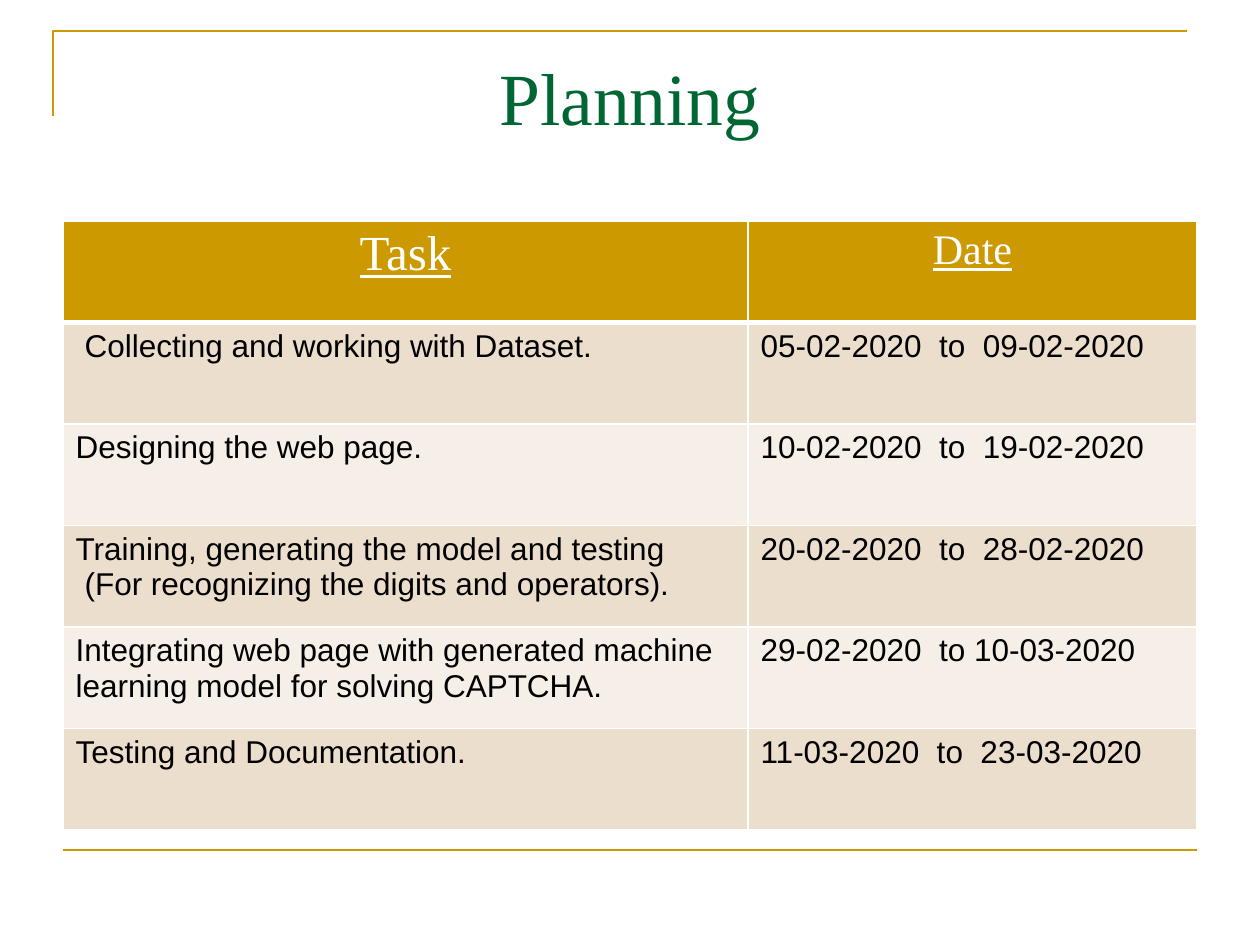
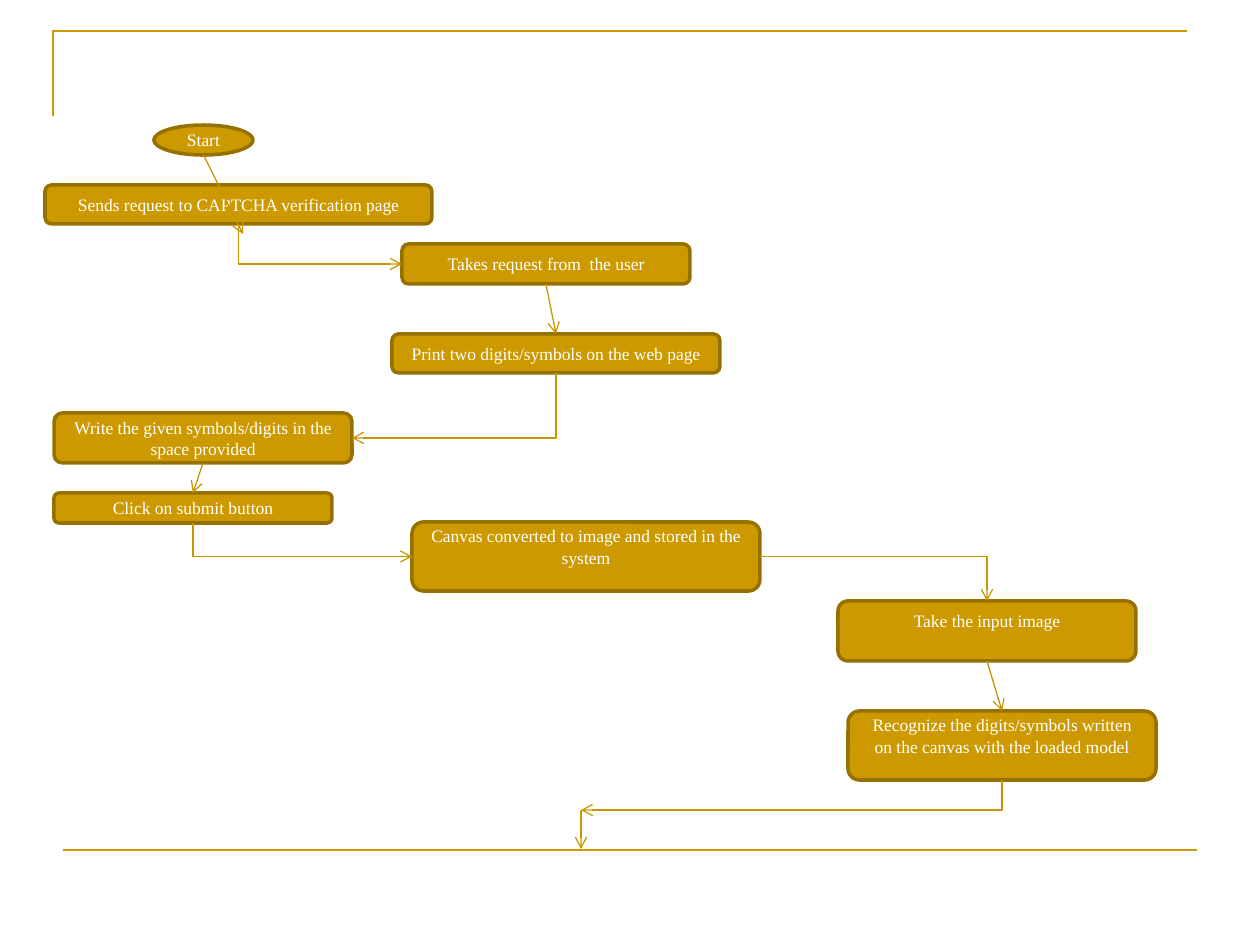
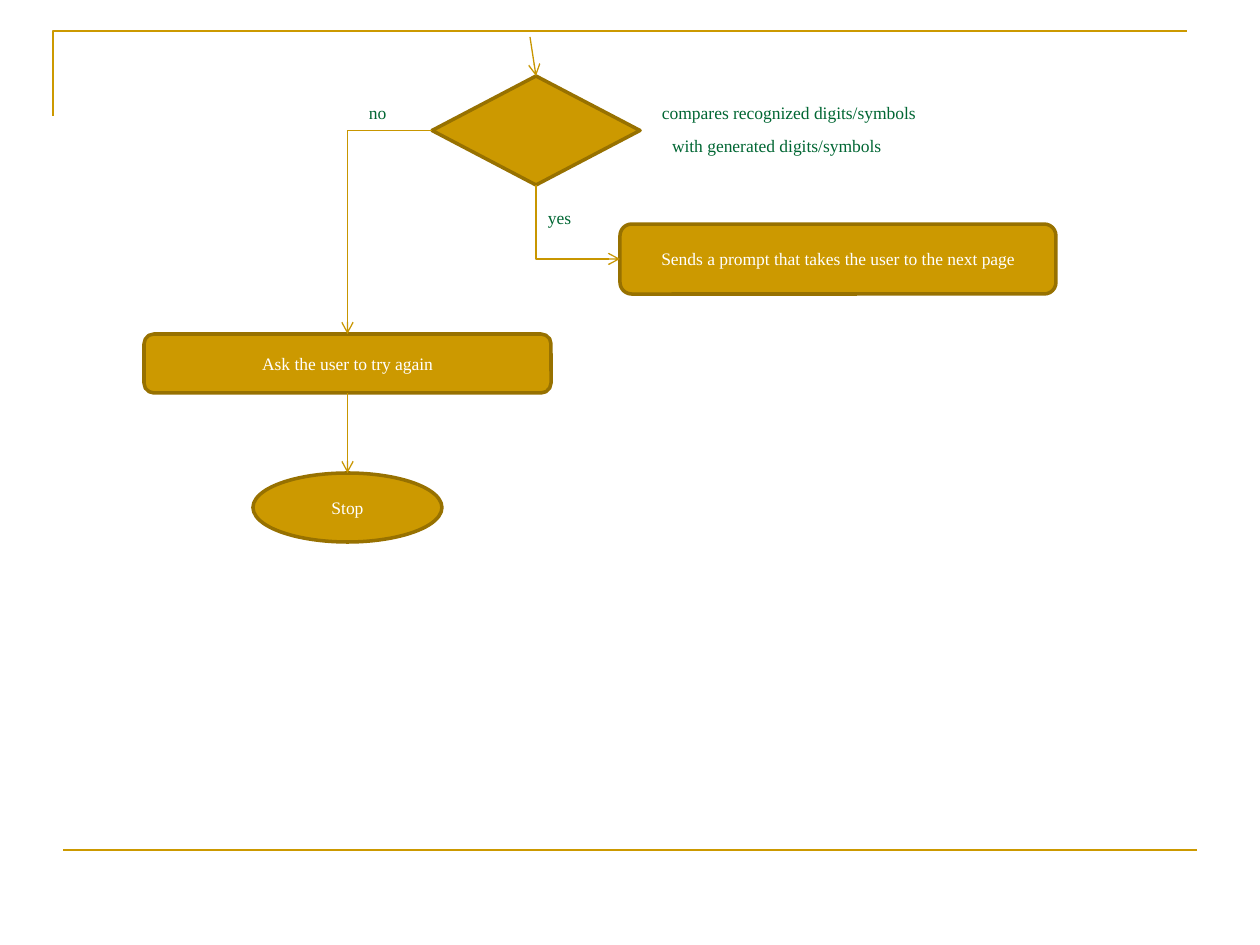
import pptx
import pptx.util
import pptx.dml.color
import pptx.enum.shapes
import pptx.enum.text
import pptx.oxml
import pptx.oxml.ns
import lxml.etree

SHAPE = pptx.enum.shapes.MSO_SHAPE
LINK = pptx.enum.shapes.MSO_CONNECTOR
ALIGN = pptx.enum.text.PP_ALIGN
ANCHOR = pptx.enum.text.MSO_ANCHOR
qn = pptx.oxml.ns.qn

# ---- Content (lengths in pixels, 126 to the inch) ----
SCALE = 914400 / 126
COLORS = {
    "gold": "CC9900", "edge": "977100", "arrow": "C89600", "green": "006633",
    "white": "FFFFFF", "black": "000000", "band_dark": "ECDECC", "band_light": "F6EFE7",
}
SERIF, SANS = "Times New Roman", "Arial"

CORNER = [(53, 116), (53, 31), (1187, 31)]
FOOT_RULE = [(63, 850), (1197, 850)]
TITLE_BOX = (63, 38, 1134, 158)

PLAN_BOX = (63, 221, 1134, 609)
PLAN_COLUMNS = [685, 449]
PLAN_HEADER = [("Task", 28), ("Date", 24)]
# Each line of a cell is text, or a pair of text and indent.
PLAN_ROWS = [
    ([("Collecting and working with Dataset.", 9)], "05-02-2020  to  09-02-2020"),
    (["Designing the web page."], "10-02-2020  to  19-02-2020"),
    (["Training, generating the model and testing",
      ("(For recognizing the digits and operators).", 9)], "20-02-2020  to  28-02-2020"),
    (["Integrating web page with generated machine learning model for solving CAPTCHA."],
     "29-02-2020  to 10-03-2020"),
    (["Testing and Documentation."], "11-03-2020  to  23-03-2020"),
]

# Step: (preset, box, text, extra space below the text)
OVAL, BOX, DECISION = SHAPE.OVAL, SHAPE.ROUNDED_RECTANGLE, SHAPE.FLOWCHART_DECISION
REQUEST_STEPS = {
    "start": (OVAL, (154, 125, 99, 30), "Start", 0),
    "send": (BOX, (45, 185, 387, 39), "Sends request to CAPTCHA verification page", 0),
    "receive": (BOX, (402, 244, 288, 40), "Takes request from  the user", 0),
    "print": (BOX, (392, 334, 328, 39), "Print two digits/symbols on the web page", 0),
    "write": (BOX, (54, 413, 298, 50),
              "Write the given symbols/digits in the space provided", 0),
    "submit": (BOX, (54, 493, 278, 30), "Click on submit button", 0),
    "store": (BOX, (412, 522, 348, 69),
              "Canvas converted to image and stored in the system", 20),
    "input": (BOX, (838, 601, 298, 60), "Take the input image", 20),
    "recognize": (BOX, (848, 711, 308, 69),
                  "Recognize the digits/symbols written on the canvas with the loaded model", 20),
}
# Arrow: (from, to, route); an end is a step and its side, or a point.
# "across" bends after a level run, "down" after an upright run.
PAGE_EXIT = (581, 810)
REQUEST_ARROWS = [
    (("start", "bottom"), (243, 234), "straight"),
    (("send", "bottom"), ("receive", "left"), "down"),
    (("receive", "bottom"), ("print", "top"), "straight"),
    (("print", "bottom"), ("write", "right"), "down"),
    (("write", "bottom"), ("submit", "top"), "straight"),
    (("submit", "bottom"), ("store", "left"), "down"),
    (("store", "right"), ("input", "top"), "across"),
    (("input", "bottom"), ("recognize", "top"), "straight"),
    (("recognize", "bottom"), PAGE_EXIT, "down"),
    (PAGE_EXIT, (581, 849), "straight"),
]

ANSWER_STEPS = {
    "compare": (DECISION, (432, 76, 208, 109), "", 0),
    "next": (BOX, (620, 224, 436, 70),
             "Sends a prompt that takes the user to the next page", 0),
    "retry": (BOX, (144, 334, 407, 59), "Ask the user to try again", 0),
    "stop": (OVAL, (253, 473, 189, 69), "Stop", 0),
}
ANSWER_ARROWS = [
    ((530, 37), ("compare", "top"), "straight"),
    (("compare", "bottom"), ("next", "left"), "down"),
    (("compare", "left"), ("retry", "top"), "across"),
    (("retry", "bottom"), ("stop", "top"), "straight"),
]
QUESTION = ["compares recognized digits/symbols", ("with generated digits/symbols", 10)]
QUESTION_BOX = (662, 102, 400, 60)
ANSWER_LABELS = [("no", (369, 102, 40, 22)), ("yes", (548, 207, 50, 22))]


# ---- Helpers ----
def px(length):
    """Turn pixels into EMU."""
    return round(length * SCALE)


def emu(lengths):
    """Turn several pixel lengths into EMU."""
    return [px(length) for length in lengths]


def rgb(name):
    """Look up a named colour."""
    return pptx.dml.color.RGBColor.from_string(COLORS[name])


def write(frame, lines, font=SERIF, size=10, color="white", align=ALIGN.LEFT,
          underline=False, gap=0, anchor=ANCHOR.TOP, margins=None):
    """Fill a text frame with formatted paragraphs."""
    frame.word_wrap = True
    frame.vertical_anchor = anchor
    if margins:
        (frame.margin_left, frame.margin_top,
         frame.margin_right, frame.margin_bottom) = emu(margins)
    for number, line in enumerate(lines):
        words, indent = (line, 0) if isinstance(line, str) else line
        paragraph = frame.paragraphs[0] if number == 0 else frame.add_paragraph()
        paragraph.alignment = align
        paragraph.space_before = pptx.util.Pt(gap if number else 0)
        if indent:
            paragraph._p.get_or_add_pPr().set("marL", str(px(indent)))
        run = paragraph.add_run()
        run.text = words
        run.font.name, run.font.size = font, pptx.util.Pt(size)
        run.font.bold, run.font.underline = False, underline
        run.font.color.rgb = rgb(color)


def stroke(shape, color, width):
    """Set the outline of a shape or connector."""
    shape.line.color.rgb = rgb(color)
    shape.line.width = pptx.util.Pt(width)


def plain_line(shapes, start, end, kind=LINK.STRAIGHT, color="gold", width=1.5):
    """Add a connector without a shadow."""
    line = shapes.add_connector(kind, *emu(start), *emu(end))
    stroke(line, color, width)
    lxml.etree.SubElement(line.element.spPr, qn("a:effectLst"))
    return line


def add_frame(prs, slide):
    """Draw the corner and foot rule, then move them to the master."""
    outline = slide.shapes.build_freeform(*CORNER[0], scale=SCALE)
    outline.add_line_segments(CORNER[1:], close=False)
    corner = outline.convert_to_shape()
    corner.fill.background()
    corner.shadow.inherit = False
    stroke(corner, "gold", 1.5)
    foot_rule = plain_line(slide.shapes, *FOOT_RULE)
    for number, part in enumerate((corner, foot_rule), 101):
        part.element.xpath(".//p:cNvPr")[0].set("id", str(number))
        prs.slide_master.shapes.element.append(part.element)


def set_title(slide, lines, box, **text_format):
    """Place and format the title placeholder."""
    title = slide.shapes.title
    title.left, title.top, title.width, title.height = emu(box)
    title.text_frame.auto_size = pptx.enum.text.MSO_AUTO_SIZE.NONE
    write(title.text_frame, lines, color="green", **text_format)


def style_cell(cell, fill, top=1, bottom=1):
    """Give a table cell its fill and white borders (widths in points)."""
    cell.fill.solid()
    cell.fill.fore_color.rgb = rgb(fill)
    borders = [("L", 1), ("R", 1), ("T", top), ("B", bottom)]
    for position, (side, width) in enumerate(borders):
        border = lxml.etree.Element(qn("a:ln" + side), w=str(pptx.util.Pt(width)))
        paint = lxml.etree.SubElement(border, qn("a:solidFill"))
        lxml.etree.SubElement(paint, qn("a:srgbClr"), val=COLORS["white"])
        cell._tc.get_or_add_tcPr().insert(position, border)


def add_plan(slide):
    """Add the table of tasks and dates."""
    row_count = len(PLAN_ROWS) + 1
    plan = slide.shapes.add_table(row_count, len(PLAN_COLUMNS), *emu(PLAN_BOX)).table
    plan.horz_banding = False
    for column, width in zip(plan.columns, PLAN_COLUMNS):
        column.width = px(width)
    for row in plan.rows:
        row.height = px(PLAN_BOX[3] / row_count)
    for column, (heading, size) in enumerate(PLAN_HEADER):
        cell = plan.cell(0, column)
        style_cell(cell, "gold", bottom=3)
        write(cell.text_frame, [heading], size=size, align=ALIGN.CENTER, underline=True)
    for row, (task, dates) in enumerate(PLAN_ROWS, 1):
        for column, lines in enumerate((task, [dates])):
            cell = plan.cell(row, column)
            style_cell(cell, "band_dark" if row % 2 else "band_light",
                       top=3 if row == 1 else 1)
            write(cell.text_frame, lines, font=SANS, size=18, color="black")


def add_step(slide, preset, box, words, space_below):
    """Add one step of a flow chart."""
    step = slide.shapes.add_shape(preset, *emu(box))
    step.shadow.inherit = False
    step.fill.solid()
    step.fill.fore_color.rgb = rgb("gold")
    stroke(step, "edge", 2)
    if words:
        write(step.text_frame, [words], align=ALIGN.CENTER, anchor=ANCHOR.MIDDLE,
              margins=(13, 6, 13, 6 + space_below))


def locate(end, steps):
    """Find the point of an arrow's end."""
    if not isinstance(end[0], str):
        return end
    step, side = end
    left, top, width, height = steps[step][1]
    across, down = {"left": (0, 0.5), "right": (1, 0.5),
                    "top": (0.5, 0), "bottom": (0.5, 1)}[side]
    return left + across * width, top + down * height


def add_arrow(slide, start, end, route):
    """Add a straight arrow or one with a single bend."""
    kind = LINK.STRAIGHT if route == "straight" else LINK.ELBOW
    rightward = end[0] > start[0]
    if route == "down":
        # The unturned frame swaps width and height around the same centre.
        middle = [(a + b) / 2 for a, b in zip(start, end)]
        half = [abs(end[1] - start[1]) / 2, abs(end[0] - start[0]) / 2]
        start = [m - h for m, h in zip(middle, half)]
        end = [m + h for m, h in zip(middle, half)]
    arrow = plain_line(slide.shapes, start, end, kind, "arrow", 0.75)
    properties = arrow.element.spPr
    if route != "straight":
        properties.find(qn("a:prstGeom")).set("prst", "bentConnector2")
    if route == "down":
        turn = properties.find(qn("a:xfrm"))
        turn.set("rot", str((270 if rightward else 90) * 60000))
        if rightward:
            turn.set("flipH", "1")
    lxml.etree.SubElement(properties.find(qn("a:ln")), qn("a:tailEnd"), type="arrow")


def add_flow(slide, steps, arrows):
    """Add all steps and then the arrows between them."""
    for step in steps.values():
        add_step(slide, *step)
    for start, end, route in arrows:
        add_arrow(slide, locate(start, steps), locate(end, steps), route)


def main():
    """Build the three slides."""
    prs = pptx.Presentation()
    prs.slide_width, prs.slide_height = emu((1260, 945))
    title_only, blank = prs.slide_layouts[5], prs.slide_layouts[6]

    planning = prs.slides.add_slide(title_only)
    add_frame(prs, planning)
    set_title(planning, ["Planning"], TITLE_BOX, size=42, align=ALIGN.CENTER,
              margins=(13, 14, 13, 6))
    add_plan(planning)

    request = prs.slides.add_slide(blank)
    add_flow(request, REQUEST_STEPS, REQUEST_ARROWS)

    answer = prs.slides.add_slide(title_only)
    set_title(answer, QUESTION, QUESTION_BOX, gap=7, margins=(0, 0, 0, 0))
    for label, box in ANSWER_LABELS:
        label_box = answer.shapes.add_textbox(*emu(box))
        write(label_box.text_frame, [label], color="green", margins=(0, 0, 0, 0))
    add_flow(answer, ANSWER_STEPS, ANSWER_ARROWS)

    prs.save("out.pptx")


main()
